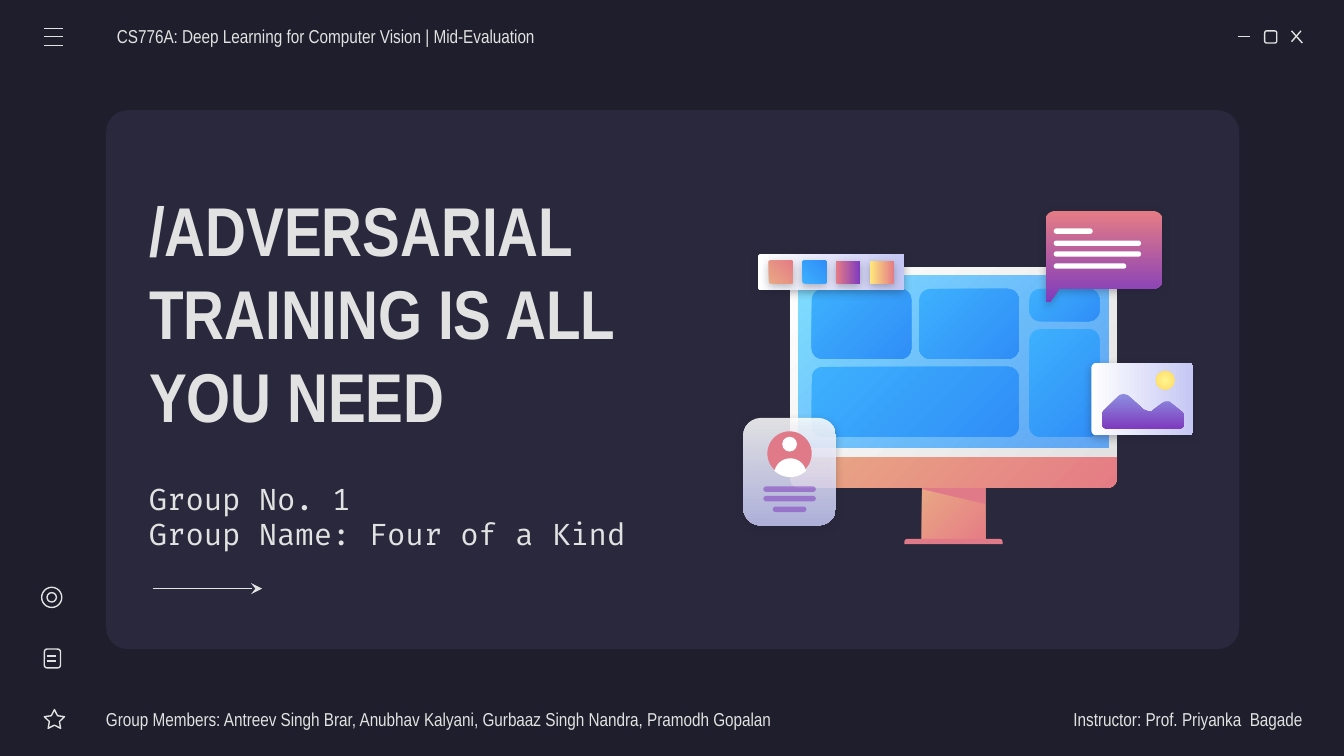
"""Build the dark title slide for the adversarial training mid-evaluation."""
import math

import lxml.etree
import pptx
import pptx.dml.color
import pptx.enum.shapes
import pptx.enum.text
import pptx.oxml.ns
import pptx.util

Inches = pptx.util.Inches
RGBColor = pptx.dml.color.RGBColor
SHAPE = pptx.enum.shapes.MSO_SHAPE
ALIGN = pptx.enum.text.PP_ALIGN
qn = pptx.oxml.ns.qn

BACKGROUND = RGBColor(0x1E, 0x1E, 0x2C)
PANEL = RGBColor(0x29, 0x28, 0x3D)
LIGHT = RGBColor(0xE2, 0xE2, 0xE2)
WHITE = RGBColor(0xFF, 0xFF, 0xFF)
ROSE = RGBColor(0xE0, 0x7A, 0x88)
CORAL = RGBColor(0xE5, 0x7C, 0x85)
PEACH = RGBColor(0xE9, 0xA9, 0x84)
PURPLE = RGBColor(0x7E, 0x3B, 0xBE)
LILAC = RGBColor(0xC5, 0xC7, 0xF4)
PERIWINKLE = RGBColor(0x8D, 0x90, 0xE1)
SKY = RGBColor(0x80, 0xDF, 0xFF)
OCEAN = RGBColor(0x31, 0x8F, 0xFA)
AZURE = RGBColor(0x3D, 0xB0, 0xFD)
BLUE = RGBColor(0x30, 0x8E, 0xF7)
LEMON = RGBColor(0xFF, 0xF6, 0x8E)
YELLOW = RGBColor(0xFF, 0xEA, 0x7D)
GOLD = RGBColor(0xFF, 0xD9, 0x66)

presentation = pptx.Presentation()
presentation.slide_width = Inches(10)
presentation.slide_height = Inches(10 * 9 / 16)
slide = presentation.slides.add_slide(presentation.slide_layouts[5])
slide.background.fill.solid()
slide.background.fill.fore_color.rgb = BACKGROUND


def paint(shape, colors, angle=315, alphas=(), shadow=False):
    """Fill a shape with one colour or a gradient, or outline it when there is none."""
    shape.shadow.inherit = False
    properties = shape._element.spPr
    if not colors:
        shape.fill.background()
        shape.line.color.rgb = LIGHT
        shape.line.width = pptx.util.Pt(0.75)
        return
    shape.line.fill.background()
    if len(colors) == 1:
        shape.fill.solid()
        shape.fill.fore_color.rgb = colors[0]
    else:
        shape.fill.gradient()
        shape.fill.gradient_angle = angle
        for stop, color in zip(shape.fill.gradient_stops, colors):
            stop.color.rgb = color
    for color, alpha in zip(list(properties.iter(qn("a:srgbClr"))), alphas):
        lxml.etree.SubElement(color, qn("a:alpha"), val=str(alpha * 1000))
    if shadow:
        outer = lxml.etree.SubElement(properties.find(qn("a:effectLst")), qn("a:outerShdw"),
                                      blurRad="57150", dist="19050", dir="5400000",
                                      algn="bl", rotWithShape="0")
        color = lxml.etree.SubElement(outer, qn("a:srgbClr"), val=str(BACKGROUND))
        lxml.etree.SubElement(color, qn("a:alpha"), val="30000")


def draw(outline, colors, kind=None, adjustments=(), **style):
    """Draw a preset in a box, or a polygon through points when no kind is given."""
    if kind is None:
        points = [(Inches(x), Inches(y)) for x, y in outline]
        builder = slide.shapes.build_freeform(*points[0], scale=1.0)
        builder.add_line_segments(points[1:], close=True)
        shape = builder.convert_to_shape()
    else:
        shape = slide.shapes.add_shape(kind, *[Inches(value) for value in outline])
        for index, value in enumerate(adjustments):
            shape.adjustments[index] = value
    paint(shape, colors, **style)
    return shape


draw((0.79, 0.82, 8.43, 4.01), [PANEL], SHAPE.ROUNDED_RECTANGLE, [0.04])
title = slide.shapes.title
slide.shapes._spTree.append(title._element)

draw((6.86, 3.61, 0.47, 0.43), [PEACH, CORAL], SHAPE.RECTANGLE)
draw((6.73, 4.01, 0.73, 0.04), [ROSE], SHAPE.ROUND_2_SAME_RECTANGLE, [0.5, 0])
draw([(6.86, 3.61), (6.86, 3.64), (7.33, 3.75), (7.33, 3.61)], [ROSE])
draw((5.88, 3.39, 2.43, 0.24), [PEACH, CORAL], SHAPE.ROUND_2_SAME_RECTANGLE, [0, 0.27])
draw((5.88, 1.99, 2.43, 1.41), [WHITE, LIGHT], SHAPE.ROUND_2_SAME_RECTANGLE, [0.04, 0])
draw((5.94, 2.05, 2.31, 1.28), [SKY, OCEAN], SHAPE.RECTANGLE, alphas=(100, 72))
for tile in [(6.04, 2.15, 0.74, 0.52), (6.04, 2.73, 1.54, 0.52), (6.84, 2.15, 0.74, 0.52),
             (7.66, 2.15, 0.52, 0.24), (7.66, 2.45, 0.52, 0.8)]:
    draw(tile, [AZURE, BLUE], SHAPE.ROUNDED_RECTANGLE, [0.08 / min(tile[2:])])

bubble = [(7.88, 2.15), (7.81, 2.25), (7.79, 2.25), (7.78, 2.24)]
for center_x, center_y, start in [(7.85, 1.64, 180), (8.58, 1.64, 270), (8.58, 2.08, 0)]:
    for step in range(0, 91, 15):
        turn = math.radians(start + step)
        bubble.append((center_x + 0.07 * math.cos(turn), center_y + 0.07 * math.sin(turn)))
draw(bubble, [CORAL, PURPLE], angle=270, shadow=True)
for top, width in [(1.7, 0.29), (1.79, 0.65), (1.87, 0.65), (1.96, 0.54)]:
    draw((7.84, top, width, 0.04), [WHITE], SHAPE.ROUNDED_RECTANGLE, [0.5])

draw((5.53, 3.11, 0.69, 0.8), [WHITE, LILAC], SHAPE.ROUNDED_RECTANGLE, [0.19],
     angle=270, alphas=(86, 86), shadow=True)
draw((5.71, 3.21, 0.33, 0.33), [ROSE], SHAPE.OVAL)
draw((5.82, 3.25, 0.11, 0.11), [WHITE], SHAPE.OVAL)
shoulders = []
for center_y, radius, angles in [(3.53, 0.12, range(195, 346, 10)), (3.38, 0.17, range(45, 136, 10))]:
    for degrees in angles:
        turn = math.radians(degrees)
        shoulders.append((5.88 + radius * math.cos(turn), center_y + radius * math.sin(turn)))
draw(shoulders, [WHITE])
for left, top, width in [(5.68, 3.62, 0.39), (5.68, 3.69, 0.39), (5.75, 3.77, 0.25)]:
    draw((left, top, width, 0.04), [PURPLE], SHAPE.ROUNDED_RECTANGLE, [0.5], alphas=(54,))

draw((8.12, 2.7, 0.76, 0.54), [WHITE, LILAC], SHAPE.ROUNDED_RECTANGLE, [0.07],
     angle=0, shadow=True)
draw([(8.2, 3.08), (8.21, 3.06), (8.33, 2.94), (8.36, 2.93), (8.39, 2.94), (8.51, 3.05),
      (8.54, 3.06), (8.57, 3.06), (8.65, 3), (8.67, 2.99), (8.7, 2.99), (8.8, 3.07),
      (8.81, 3.09), (8.81, 3.16), (8.8, 3.18), (8.78, 3.19), (8.23, 3.19), (8.21, 3.18),
      (8.2, 3.16)], [PERIWINKLE, PURPLE], angle=270)
sun = draw((8.6, 2.76, 0.14, 0.14), [LEMON, GOLD], SHAPE.OVAL)
gradient = sun._element.spPr.find(qn("a:gradFill"))
gradient.remove(gradient.find(qn("a:lin")))
radial = lxml.etree.SubElement(gradient, qn("a:path"), {"path": "circle"})
lxml.etree.SubElement(radial, qn("a:fillToRect"), l="50000", t="50000", r="50000", b="50000")

draw((5.64, 1.89, 1.09, 0.27), [WHITE, LILAC], SHAPE.ROUNDED_RECTANGLE, [0.07],
     angle=0, shadow=True)
swatches = [([PEACH, CORAL], 45), ([AZURE, BLUE], 45), ([CORAL, PURPLE], 0), ([YELLOW, CORAL], 0)]
for column, (colors, angle) in enumerate(swatches):
    draw((5.72 + column * 0.25, 1.94, 0.18, 0.17), colors, SHAPE.ROUNDED_RECTANGLE, [0.07],
         angle=angle, shadow=True)

draw((9.41, 0.23, 0.09, 0.09), [], SHAPE.ROUNDED_RECTANGLE, [0.17])
draw((0.33, 5.28, 0.15, 0.14), [], SHAPE.STAR_5_POINT, [0.25])
draw((0.33, 4.83, 0.12, 0.14), [], SHAPE.ROUNDED_RECTANGLE, [0.17])
draw((0.31, 4.37, 0.15, 0.15), [], SHAPE.OVAL)
draw((0.35, 4.41, 0.07, 0.07), [], SHAPE.OVAL)

lines = [(9.21, 0.27, 9.3, 0.27), (9.61, 0.23, 9.69, 0.32), (9.68, 0.23, 9.61, 0.31)]
lines += [(0.33, y, 0.47, y) for y in (0.21, 0.27, 0.34)]
lines += [(0.35, y, 0.42, y) for y in (4.88, 4.92)]
lines += [(1.14, 4.38, 1.95, 4.38)]
for ends in lines:
    connector = slide.shapes.add_connector(pptx.enum.shapes.MSO_CONNECTOR.STRAIGHT,
                                           *[Inches(value) for value in ends])
    connector.line.color.rgb = LIGHT
    connector.line.width = pptx.util.Pt(0.75)
    lxml.etree.SubElement(connector._element.spPr, qn("a:effectLst"))
arrow_line = connector._element.spPr.find(qn("a:ln"))
lxml.etree.SubElement(arrow_line, qn("a:tailEnd"), type="stealth")

title_format = {"left": 1.01, "top": 1.44, "width": 4.47, "height": 1.76}
for name, value in title_format.items():
    setattr(title, name, Inches(value))
large = {"size": pptx.util.Pt(37), "name": "Arial Narrow", "bold": True}
medium = {"size": pptx.util.Pt(16), "name": "Fira Code"}
small = {"size": pptx.util.Pt(10), "name": "Arial Narrow"}
texts = [
    (None, ["/ADVERSARIAL TRAINING IS ALL YOU NEED"], 0.1, 0.1, ALIGN.LEFT, large),
    ((1.01, 3.38, 4.08, 0.92), ["Group No. 1", "Group Name: Four of a Kind"],
     0.1, 0.1, ALIGN.LEFT, medium),
    ((0.87, 0.12, 3.28, 0.3), ["CS776A: Deep Learning for Computer Vision | Mid-Evaluation"],
     0, 0.1, ALIGN.LEFT, small),
    ((7.45, 5.2, 2.24, 0.3), ["Instructor: Prof. Priyanka  Bagade"], 0.1, 0, ALIGN.RIGHT, small),
    ((0.69, 5.2, 5.11, 0.3), ["Group Members: Antreev Singh Brar, Anubhav Kalyani, "
                              "Gurbaaz Singh Nandra, Pramodh Gopalan"], 0.1, 0, ALIGN.LEFT, small),
]
for box, wording, left_margin, right_margin, alignment, font_format in texts:
    shape = slide.shapes.add_textbox(*[Inches(value) for value in box]) if box else title
    frame = shape.text_frame
    frame.text = "\n".join(wording)
    frame_format = {"word_wrap": True, "auto_size": pptx.enum.text.MSO_AUTO_SIZE.NONE,
                    "vertical_anchor": pptx.enum.text.MSO_ANCHOR.MIDDLE,
                    "margin_left": Inches(left_margin), "margin_right": Inches(right_margin),
                    "margin_top": Inches(0.1), "margin_bottom": Inches(0.1)}
    for name, value in frame_format.items():
        setattr(frame, name, value)
    for paragraph in frame.paragraphs:
        paragraph.alignment = alignment
        for run in paragraph.runs:
            run.font.color.rgb = LIGHT
            for name, value in font_format.items():
                setattr(run.font, name, value)

presentation.save("out.pptx")
